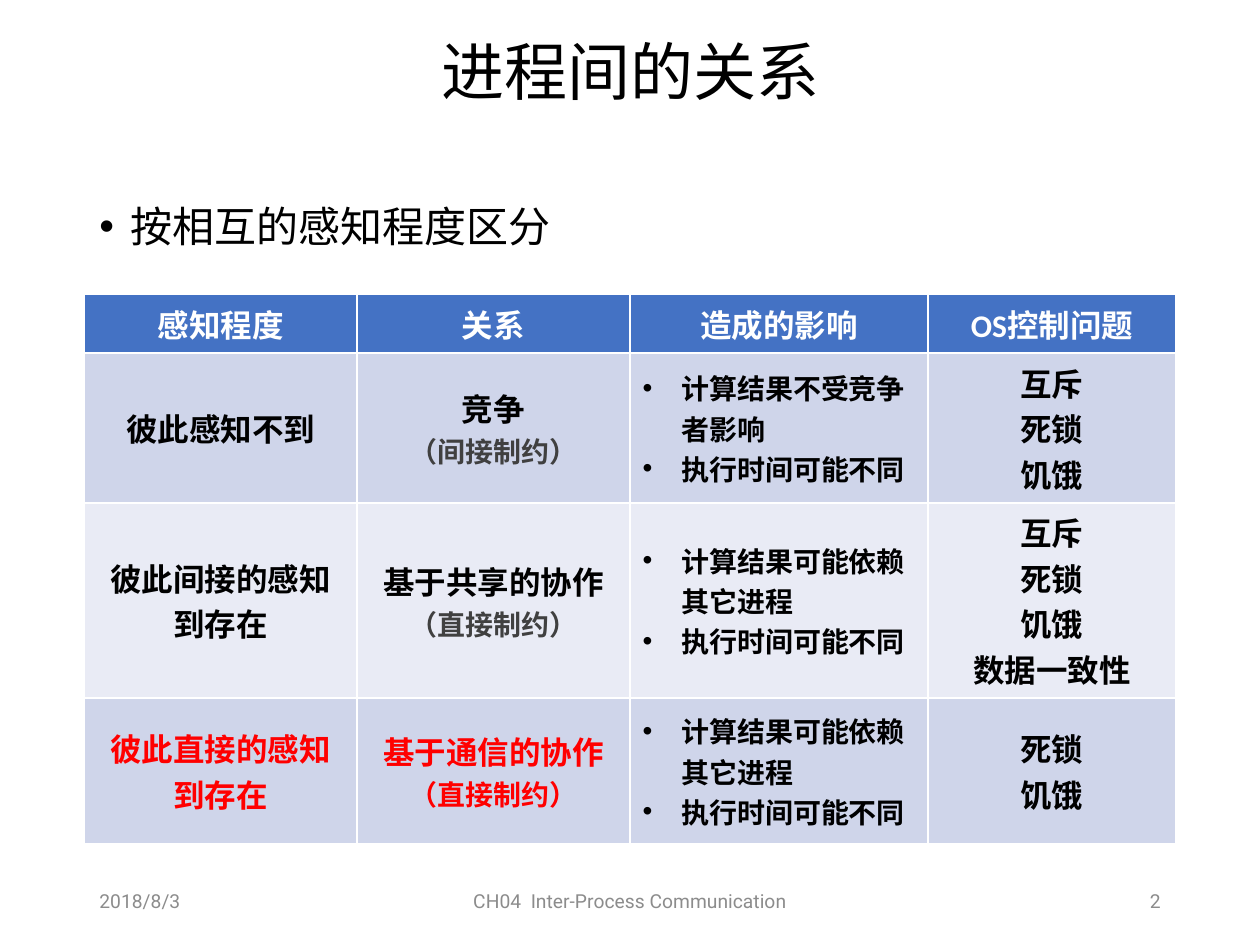
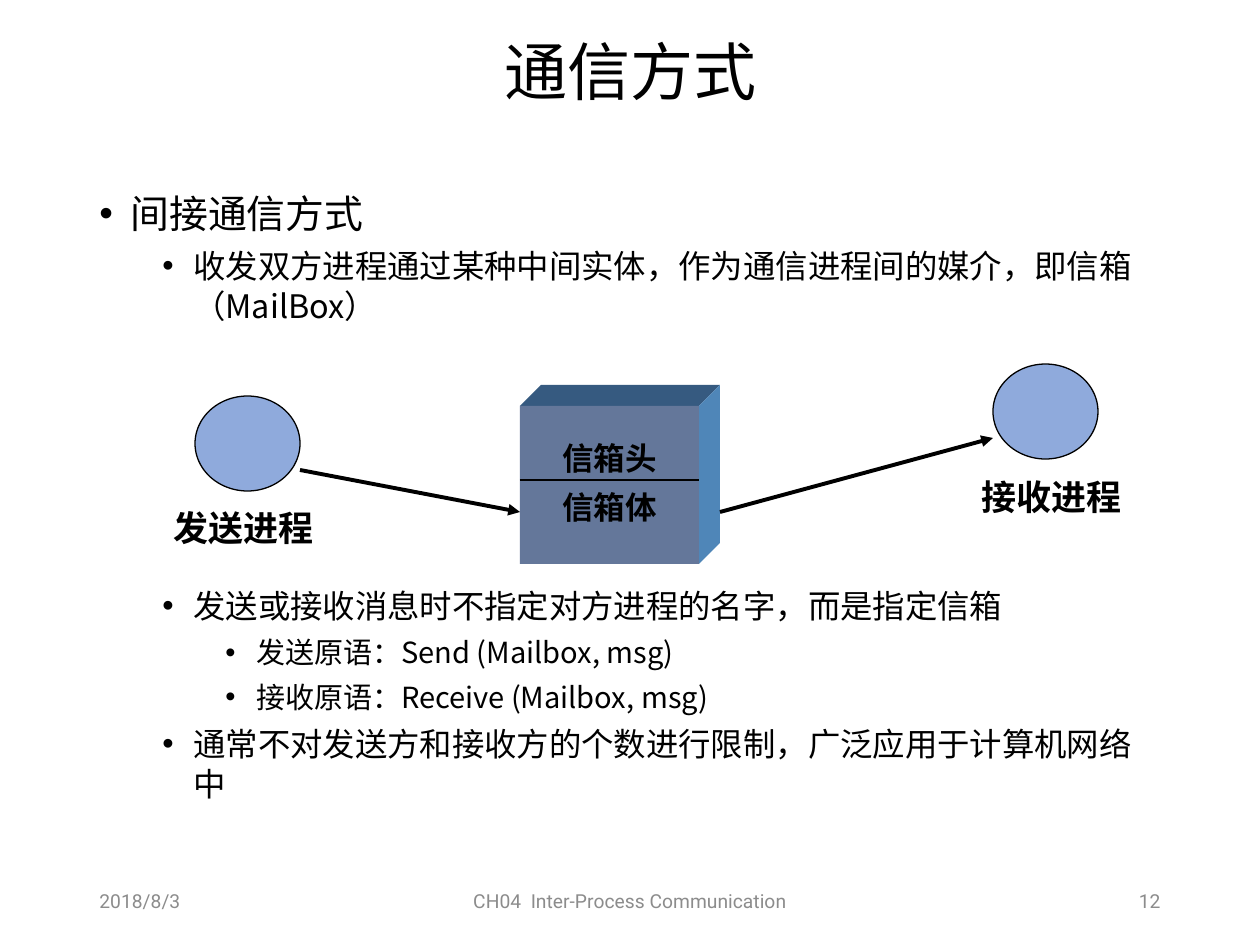
from lxml.etree import SubElement
from pptx import Presentation
from pptx.dml.color import RGBColor
from pptx.enum.shapes import MSO_CONNECTOR, MSO_SHAPE
from pptx.enum.text import MSO_ANCHOR, PP_ALIGN
from pptx.oxml.ns import qn
from pptx.util import Emu, Pt

# Shared look
SCALE = 914400 // 126
CJK, LATIN, FOOT = "Noto Sans CJK SC", "Calibri", "Roboto"
BLACK, WHITE, RED, DARK, GREY = "000000", "FFFFFF", "FF0000", "404040", "8C8C8C"
HEADER, BANDS = "4472C4", ("CFD5EA", "E9EBF5")
CIRCLE, FRONT, TOP, SIDE = "8FAADC", "64779A", "365A80", "4F86B8"
LEFT, CENTER, RIGHT = PP_ALIGN.LEFT, PP_ALIGN.CENTER, PP_ALIGN.RIGHT
TITLE_AREA, BODY_AREA = (88, 27, 1086, 96), (87, 182, 1086, 678)
DATE, CHAPTER = "2018/8/3", "CH04  Inter-Process Communication"

# Relations slide: degree, relation, constraint, effects, problems, accent colour
RELATION_HEADS = ["感知程度", "关系", "造成的影响", "OS控制问题"]
RELATIONS = [
    ("彼此感知不到", "竞争", "（间接制约）",
     ["计算结果不受竞争者影响", "执行时间可能不同"],
     ["互斥", "死锁", "饥饿"], None),
    ("彼此间接的感知到存在", "基于共享的协作", "（直接制约）",
     ["计算结果可能依赖其它进程", "执行时间可能不同"],
     ["互斥", "死锁", "饥饿", "数据一致性"], None),
    ("彼此直接的感知到存在", "基于通信的协作", "（直接制约）",
     ["计算结果可能依赖其它进程", "执行时间可能不同"],
     ["死锁", "饥饿"], RED),
]
COLUMN_WIDTHS, ROW_HEIGHTS = (273, 273, 298, 248), (59, 150, 195, 146)

# Mailbox slide: level, text, space before in points
MAILBOX_POINTS = [
    (0, "间接通信方式", 10),
    (1, "收发双方进程通过某种中间实体，作为通信进程间的媒介，即信箱（MailBox）", 5),
    (1, "发送或接收消息时不指定对方进程的名字，而是指定信箱", 148.5),
    (2, "发送原语：Send (Mailbox, msg)", 5),
    (2, "接收原语：Receive (Mailbox, msg)", 5),
    (1, "通常不对发送方和接收方的个数进行限制，广泛应用于计算机网络中", 5),
]
POINT_SIZES, POINT_INDENTS, HANGING = (22.2, 18.5, 16.6), (31, 94, 157), 31
PROCESSES = [("发送进程", (195, 396), (161, 500)),
             ("接收进程", (993, 364), (969, 469))]
ARROWS = [((300, 470), (520, 512)), ((720, 512), (993, 438))]
BOX, DEPTH, DIVIDER_Y = (520, 406, 179, 158), 21, 480


def px(value):
    return Emu(value * SCALE)


def color(code):
    return RGBColor.from_string(code)


def write(para, text, size, code=BLACK, font=CJK, bold=False, align=LEFT,
          spacing=None, before=0):
    para.alignment = align
    para.space_before = Pt(before)
    if spacing:
        para.line_spacing = spacing
    span = para.add_run()
    span.text = text
    span.font.size, span.font.bold, span.font.name = Pt(size), bold, font
    span.font.color.rgb = color(code)
    east = CJK if font == LATIN else font
    SubElement(span.font._element, qn("a:ea")).set("typeface", east)


def add_bullet(para, margin, hanging):
    props = para._p.get_or_add_pPr()
    props.set("marL", str(px(margin)))
    props.set("indent", str(px(-hanging)))
    SubElement(props, qn("a:buFont")).set("typeface", "Arial")
    SubElement(props, qn("a:buChar")).set("char", "•")


def paragraphs(frame, count):
    return [frame.paragraphs[0]] + [frame.add_paragraph() for _ in range(count - 1)]


def add_box(page, area, anchor=MSO_ANCHOR.TOP):
    frame = page.shapes.add_textbox(*map(px, area)).text_frame
    frame.word_wrap = True
    frame.vertical_anchor = anchor
    return frame


def paint(shape, fill, line=None):
    shape.shadow.inherit = False
    shape.fill.solid()
    shape.fill.fore_color.rgb = color(fill)
    if line:
        shape.line.color.rgb = color(line)
        shape.line.width = Pt(0.75)
    else:
        shape.line.fill.background()


def add_line(page, start, end, width, arrow=False):
    line = page.shapes.add_connector(MSO_CONNECTOR.STRAIGHT, *map(px, start + end))
    line.line.color.rgb = color(BLACK)
    line.line.width = Pt(width)
    if arrow:
        SubElement(line.line._get_or_add_ln(), qn("a:tailEnd")).set("type", "triangle")
    SubElement(line._element.spPr, qn("a:effectLst"))


def add_face(page, points, fill):
    builder = page.shapes.build_freeform(*points[0], scale=SCALE)
    builder.add_line_segments(points[1:], close=True)
    paint(builder.convert_to_shape(), fill)


def add_page(deck, title, number):
    page = deck.slides.add_slide(deck.slide_layouts[6])
    frame = add_box(page, TITLE_AREA, MSO_ANCHOR.MIDDLE)
    write(frame.paragraphs[0], title, 36, align=CENTER, spacing=0.9)
    for text, left, width, align in [(DATE, 87, 284, LEFT),
                                     (CHAPTER, 417, 426, CENTER),
                                     (number, 889, 284, RIGHT)]:
        frame = add_box(page, (left, 876, width, 50), MSO_ANCHOR.MIDDLE)
        write(frame.paragraphs[0], text, 11, GREY, FOOT, align=align)
    return page


def fill_cell(cell, fill, lines, bulleted=False):
    """Each line is a text, a size and a colour."""
    cell.fill.solid()
    cell.fill.fore_color.rgb = color(fill)
    cell.vertical_anchor = MSO_ANCHOR.MIDDLE
    for para, (text, size, code) in zip(paragraphs(cell.text_frame, len(lines)), lines):
        write(para, text, size, code, LATIN, True, LEFT if bulleted else CENTER)
        if bulleted:
            add_bullet(para, 39, 39)


deck = Presentation()
deck.slide_width, deck.slide_height = px(1260), px(945)

# Relations between processes
page = add_page(deck, "进程间的关系", "2")
para = add_box(page, BODY_AREA).paragraphs[0]
write(para, "按相互的感知程度区分", 24, spacing=1.25, before=10)
add_bullet(para, POINT_INDENTS[0], HANGING)

area = (84, 294, sum(COLUMN_WIDTHS), sum(ROW_HEIGHTS))
table = page.shapes.add_table(len(ROW_HEIGHTS), len(COLUMN_WIDTHS), *map(px, area)).table
for column, width in zip(table.columns, COLUMN_WIDTHS):
    column.width = px(width)
for row, height in zip(table.rows, ROW_HEIGHTS):
    row.height = px(height)
for index, head in enumerate(RELATION_HEADS):
    fill_cell(table.cell(0, index), HEADER, [(head, 18, WHITE)])
for index, (degree, relation, limit, effects, problems, accent) in enumerate(RELATIONS):
    fill, main = BANDS[index % 2], accent or BLACK
    cells = [
        [(degree, 18, main)],
        [(relation, 18, main), (limit, 16, accent or DARK)],
        [(text, 16, BLACK) for text in effects],
        [(text, 18, BLACK) for text in problems],
    ]
    for column, lines in enumerate(cells):
        fill_cell(table.cell(index + 1, column), fill, lines, bulleted=column == 2)

# Communication through a mailbox
page = add_page(deck, "通信方式", "12")
frame = add_box(page, BODY_AREA)
for para, (level, text, before) in zip(paragraphs(frame, len(MAILBOX_POINTS)),
                                       MAILBOX_POINTS):
    para.level = level
    write(para, text, POINT_SIZES[level], spacing=1.03, before=before)
    add_bullet(para, POINT_INDENTS[level], HANGING)

# Mailbox block: top, side and front faces
left, top, width, height = BOX
right, bottom = left + width, top + height
add_face(page, [(left, top), (left + DEPTH, top - DEPTH),
                (right + DEPTH, top - DEPTH), (right, top)], TOP)
add_face(page, [(right, top), (right + DEPTH, top - DEPTH),
                (right + DEPTH, bottom - DEPTH), (right, bottom)], SIDE)
front = page.shapes.add_shape(MSO_SHAPE.RECTANGLE, *map(px, BOX))
paint(front, FRONT)
frame = front.text_frame
frame.vertical_anchor = MSO_ANCHOR.MIDDLE
frame.margin_top, frame.margin_bottom = px(1), px(6)
for para, text, before in zip(paragraphs(frame, 2), ("信箱头", "信箱体"), (0, 6.5)):
    write(para, text, 18, bold=True, align=CENTER, before=before)
add_line(page, (left, DIVIDER_Y), (right, DIVIDER_Y), 0.75)

# Processes and message arrows
for name, circle_at, label_at in PROCESSES:
    circle = page.shapes.add_shape(MSO_SHAPE.OVAL, *map(px, circle_at + (105, 95)))
    paint(circle, CIRCLE, BLACK)
    label = add_box(page, label_at + (172, 63))
    write(label.paragraphs[0], name, 20, bold=True)
for start, end in ARROWS:
    add_line(page, start, end, 2.25, arrow=True)

deck.save("out.pptx")
